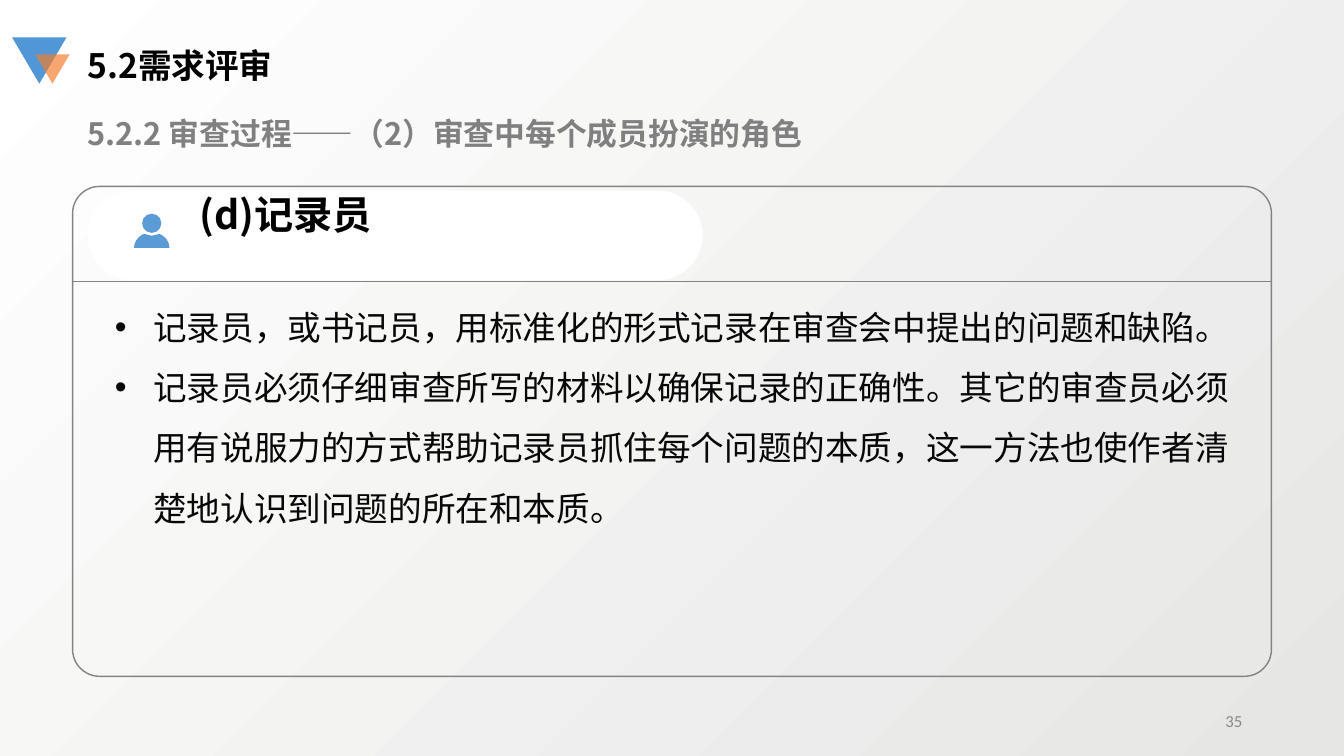
import math
from dataclasses import dataclass

import pptx
import pptx.dml.color
import pptx.enum.shapes
import pptx.enum.text
import pptx.oxml
import pptx.oxml.ns
import pptx.util
from lxml import etree

Inches = pptx.util.Inches
Pt = pptx.util.Pt
PRESET = pptx.enum.shapes.MSO_SHAPE
ANCHOR = pptx.enum.text.MSO_ANCHOR
ALIGN = pptx.enum.text.PP_ALIGN
qn = pptx.oxml.ns.qn


@dataclass(frozen=True)
class Theme:
    cjk_font: str = "Noto Sans CJK SC"
    number_font: str = "Calibri"
    background: tuple = ("E6E6E5", "FFFFFF")
    frame: str = "838383"
    heading: str = "000000"
    subheading: str = "808080"
    body: str = "080808"
    number: str = "898989"
    pill: str = "FFFFFF"
    person: str = "5B9BD5"
    blue: str = "5197D7"
    orange: str = "F37D2A"
    title_size: int = 24
    subtitle_size: int = 22
    card_title_size: int = 28
    body_size: int = 24
    number_size: int = 12


THEME = Theme()


def rgb(value):
    return pptx.dml.color.RGBColor.from_string(value)


def style_shape(shape, fill=None, line=None):
    shape.shadow.inherit = False
    if fill:
        shape.fill.solid()
        shape.fill.fore_color.rgb = rgb(fill)
    else:
        shape.fill.background()
    if line:
        shape.line.color.rgb = rgb(line)
        shape.line.width = Pt(1)
    else:
        shape.line.fill.background()
    return shape


def add_preset(slide, preset, box, fill=None, line=None):
    shape = slide.shapes.add_shape(preset, *map(Inches, box))
    return style_shape(shape, fill, line)


def add_text_frame(slide, box, anchor=ANCHOR.TOP):
    frame = slide.shapes.add_textbox(*map(Inches, box)).text_frame
    frame.word_wrap = True
    frame.vertical_anchor = anchor
    return frame


def add_run(paragraph, text, size, color, bold=False, font=THEME.cjk_font):
    run = paragraph.add_run()
    run.text = text
    run.font.size = Pt(size)
    run.font.bold = bold
    run.font.color.rgb = rgb(color)
    run.font.name = font
    properties = run.font._element
    etree.SubElement(properties, qn("a:ea")).set("typeface", font)


def add_background(slide):
    fill = slide.background.fill
    fill.gradient()
    fill.gradient_angle = 135
    for stop, color in zip(fill.gradient_stops, THEME.background):
        stop.color.rgb = rgb(color)


def add_header(slide, left, top):
    # Pair of downward triangles
    triangle = PRESET.ISOSCELES_TRIANGLE
    large = add_preset(slide, triangle, (left, top, 0.54, 0.46), THEME.blue)
    small = add_preset(slide, triangle, (left + 0.23, top + 0.17, 0.34, 0.29), THEME.orange)
    large.rotation = small.rotation = 180
    color = small.fill._xPr.find(qn("a:solidFill"))[0]
    etree.SubElement(color, qn("a:alpha")).set("val", "68000")

    # Section title and subtitle
    title = add_text_frame(slide, (left + 0.65, top + 0.03, 3.35, 0.5))
    add_run(title.paragraphs[0], "5.2需求评审", THEME.title_size, THEME.heading, True)
    subtitle = add_text_frame(slide, (left + 0.65, top + 0.72, 7.5, 0.47))
    add_run(subtitle.paragraphs[0], "5.2.2 审查过程——（2）审查中每个成员扮演的角色",
            THEME.subtitle_size, THEME.subheading, True)


def add_person(slide, left, top):
    head = 0.19
    add_preset(slide, PRESET.OVAL, (left + 0.08, top, head, head), THEME.person)

    # Shoulders: half ellipse, hollowed below the head
    center = left + 0.175
    base = top + 0.34
    angles = [math.radians(angle) for angle in range(180, 361, 6)]
    outline = [(center + 0.175 * math.cos(angle), base + 0.155 * math.sin(angle))
               for angle in angles]
    points = [(Inches(x), Inches(max(y, top + 0.22 - 0.25 * abs(x - center))))
              for x, y in outline]
    builder = slide.shapes.build_freeform(*points[0])
    builder.add_line_segments(points[1:], close=True)
    style_shape(builder.convert_to_shape(), THEME.person)


def add_bullet(paragraph, text):
    properties = paragraph._p.get_or_add_pPr()
    properties.set("marL", str(Inches(0.38)))
    properties.set("indent", str(Inches(-0.38)))
    etree.SubElement(properties, qn("a:buFont")).set("typeface", "Arial")
    etree.SubElement(properties, qn("a:buChar")).set("char", "•")
    paragraph.line_spacing = 1.5
    add_run(paragraph, text, THEME.body_size, THEME.body)


def add_card(slide, box, heading, points):
    left, top, width, height = box

    # Frame and divider
    frame = add_preset(slide, PRESET.ROUNDED_RECTANGLE, box, line=THEME.frame)
    frame.adjustments[0] = 0.055
    divider_y = Inches(top + 0.94)
    divider = slide.shapes.add_connector(
        pptx.enum.shapes.MSO_CONNECTOR.STRAIGHT,
        Inches(left), divider_y, Inches(left + width), divider_y)
    divider.line.color.rgb = rgb(THEME.frame)
    divider.line.width = Pt(0.75)
    etree.SubElement(divider._element.spPr, qn("a:effectLst"))

    # Heading pill
    pill = add_preset(slide, PRESET.ROUNDED_RECTANGLE,
                      (left + 0.15, top + 0.04, 6.1, 0.89), THEME.pill)
    pill.adjustments[0] = 0.5
    title = add_text_frame(slide, (left + 1.16, top + 0.03, 4.38, 0.49), ANCHOR.MIDDLE)
    add_run(title.paragraphs[0], heading, THEME.card_title_size, THEME.heading, True)
    add_person(slide, left + 0.61, top + 0.27)

    # Bulleted text
    body = add_text_frame(slide, (left + 0.34, top + 0.95, width - 0.62, 2.4))
    body.margin_left = body.margin_right = Inches(0.08)
    body.margin_top = body.margin_bottom = Inches(0.04)
    for index, text in enumerate(points):
        paragraph = body.add_paragraph() if index else body.paragraphs[0]
        add_bullet(paragraph, text)


def add_page_number(slide, box, number):
    paragraph = add_text_frame(slide, box, ANCHOR.MIDDLE).paragraphs[0]
    paragraph.alignment = ALIGN.RIGHT
    add_run(paragraph, number, THEME.number_size, THEME.number, font=THEME.number_font)


def main():
    presentation = pptx.Presentation()
    presentation.slide_width = Inches(13.33)
    presentation.slide_height = Inches(7.5)
    slide = presentation.slides.add_slide(presentation.slide_layouts[6])
    add_background(slide)
    add_header(slide, 0.12, 0.37)
    add_card(slide, (0.72, 1.85, 11.89, 4.86), "(d)记录员", [
        "记录员，或书记员，用标准化的形式记录在审查会中提出的问题和缺陷。",
        "记录员必须仔细审查所写的材料以确保记录的正确性。其它的审查员必须"
        "用有说服力的方式帮助记录员抓住每个问题的本质，这一方法也使作者清"
        "楚地认识到问题的所在和本质。",
    ])
    add_page_number(slide, (9.42, 6.95, 3, 0.4), "35")
    presentation.save("out.pptx")


if __name__ == "__main__":
    main()
